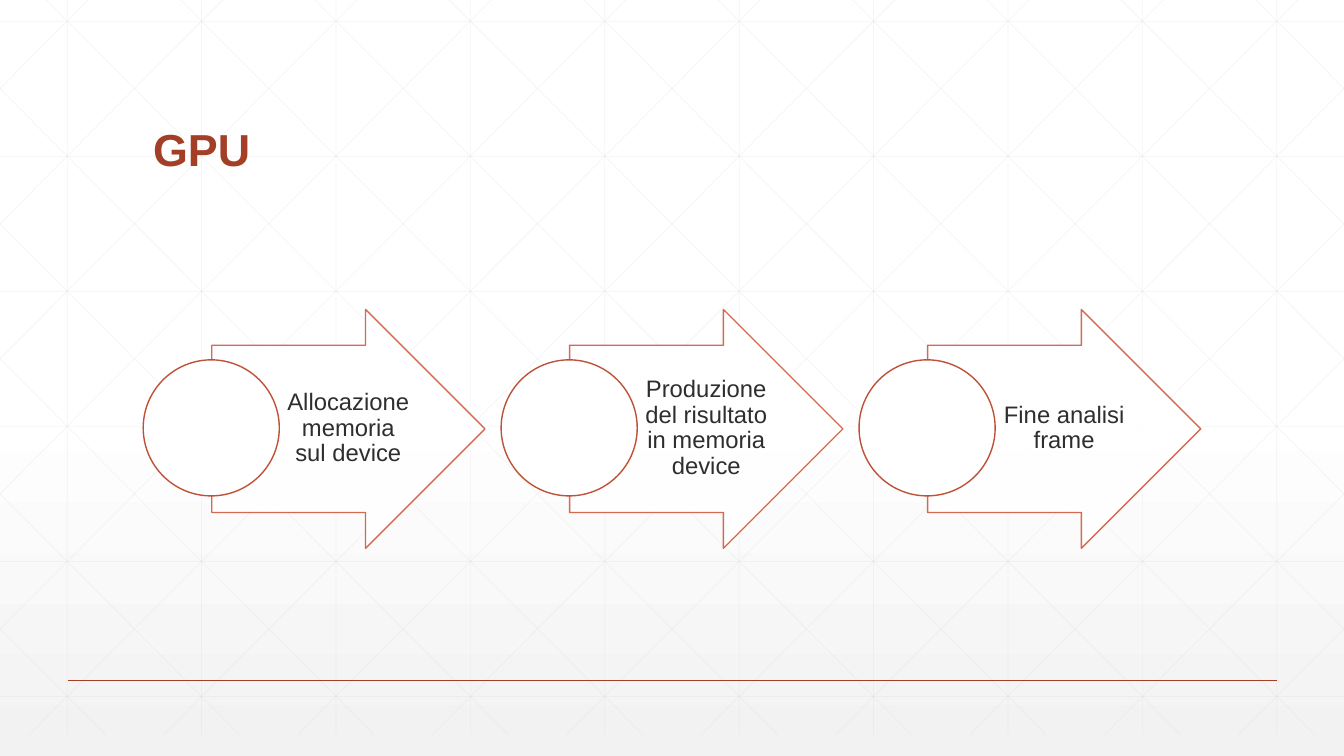
"""Build the title slide part: three process steps over a faint line grid."""
import copy

import pptx
import pptx.dml.color
import pptx.enum.shapes
import pptx.enum.text
import pptx.oxml.ns
import pptx.util
from lxml import etree

Inches = pptx.util.Inches
Pt = pptx.util.Pt
RGBColor = pptx.dml.color.RGBColor
Shape = pptx.enum.shapes.MSO_SHAPE
Anchor = pptx.enum.text.MSO_ANCHOR
Align = pptx.enum.text.PP_ALIGN
qn = pptx.oxml.ns.qn

WHITE = RGBColor(0xFF, 0xFF, 0xFF)
PALE = RGBColor(0xF2, 0xF2, 0xF2)
GRID = RGBColor(0xD9, 0xD9, 0xD9)
RUST = RGBColor(0xA4, 0x3F, 0x27)
CORAL = RGBColor(0xD1, 0x5A, 0x3E)
BRICK = RGBColor(0xBE, 0x52, 0x38)
INK = RGBColor(0x2D, 0x2E, 0x2D)

WIDE, HIGH = 13.33, 7.5
TOP, BASE = -0.21, 7.29
CELL = WIDE / 10
SLOPE = 7.5 / 7.46
STEPS = (
    "Allocazione memoria sul device",
    "Produzione del risultato in memoria device",
    "Fine analisi frame",
)


def fade(shape, share):
    for color in shape._element.xpath("./p:spPr//a:srgbClr"):
        etree.SubElement(color, qn("a:alpha"), val=str(share * 1000))


def paint(slide):
    fill = slide.background.fill
    fill.gradient()
    fill.gradient_angle = 270
    stops = slide.element.xpath(".//a:gsLst")[0]
    stops.insert(1, copy.deepcopy(stops[0]))
    tones = ((0, WHITE), (0.53, WHITE), (1, PALE))
    for stop, (place, color) in zip(fill.gradient_stops, tones):
        stop.position = place
        stop.color.rgb = color


def rule(slide, start, end, color, width):
    line = slide.shapes.add_connector(
        pptx.enum.shapes.MSO_CONNECTOR.STRAIGHT,
        *(Inches(n) for n in (*start, *end)))
    line.line.color.rgb = color
    line.line.width = Pt(width)
    etree.SubElement(line._element.spPr, qn("a:effectLst"))
    return line


def thread(slide, start, end):
    fade(rule(slide, start, end, GRID, 0.5), 25)


def grid(slide):
    for i in range(10):
        x = CELL * (i + 0.5)
        thread(slide, (x, TOP), (x, BASE))
    for i in range(6):
        y = 0.21 + 1.34 * i
        thread(slide, (0, y), (WIDE, y))
    for i in range(-5, 10):
        x = 0.25 + CELL * i
        left = max(x, 0)
        right = min(x + (BASE - TOP) / SLOPE, WIDE)
        head = TOP + (left - x) * SLOPE
        foot = TOP + (right - x) * SLOPE
        thread(slide, (left, head), (right, foot))
        thread(slide, (WIDE - left, head), (WIDE - right, foot))


def form(slide, kind, box, color):
    shape = slide.shapes.add_shape(kind, *(Inches(n) for n in box))
    shape.shadow.inherit = False
    shape.fill.solid()
    shape.fill.fore_color.rgb = WHITE
    shape.line.color.rgb = color
    shape.line.width = Pt(1)
    return shape


def write(slide, text, *, box, size, color, bold=False, align=Align.LEFT,
          anchor=Anchor.MIDDLE, pads=(0.1, 0.05, 0.1, 0.05)):
    frame = slide.shapes.add_textbox(*(Inches(n) for n in box)).text_frame
    frame.word_wrap = True
    frame.vertical_anchor = anchor
    (frame.margin_left, frame.margin_top, frame.margin_right,
     frame.margin_bottom) = (Inches(n) for n in pads)
    para = frame.paragraphs[0]
    para.alignment = align
    para.line_spacing = 0.9
    run = para.add_run()
    run.text = text
    run.font.name = "Arial"
    run.font.size = Pt(size)
    run.font.bold = bold
    run.font.color.rgb = color


def step(slide, left, text):
    arrow = form(slide, Shape.RIGHT_ARROW, (left + 0.68, 3.07, 2.71, 2.37),
                 CORAL)
    arrow.adjustments[0] = 0.7
    arrow.adjustments[1] = 0.5
    fade(arrow, 90)
    write(slide, text, box=(left + 1.36, 3.42, 1.32, 1.66), size=17,
          color=INK, align=Align.CENTER, pads=(0.05, 0.01, 0.02, 0.01))
    form(slide, Shape.OVAL, (left, 3.57, 1.35, 1.35), BRICK)


def main():
    deck = pptx.Presentation()
    deck.slide_width = Inches(WIDE)
    deck.slide_height = Inches(HIGH)
    slide = deck.slides.add_slide(deck.slide_layouts[6])
    paint(slide)
    grid(slide)
    rule(slide, (0.67, 6.75), (12.67, 6.75), RUST, 1)
    write(slide, "GPU", box=(1.42, 0.55, 10.5, 1.25), size=32, color=RUST,
          bold=True, anchor=Anchor.BOTTOM)
    for i, text in enumerate(STEPS):
        step(slide, 1.42 + 3.55 * i, text)
    deck.save("out.pptx")


main()
